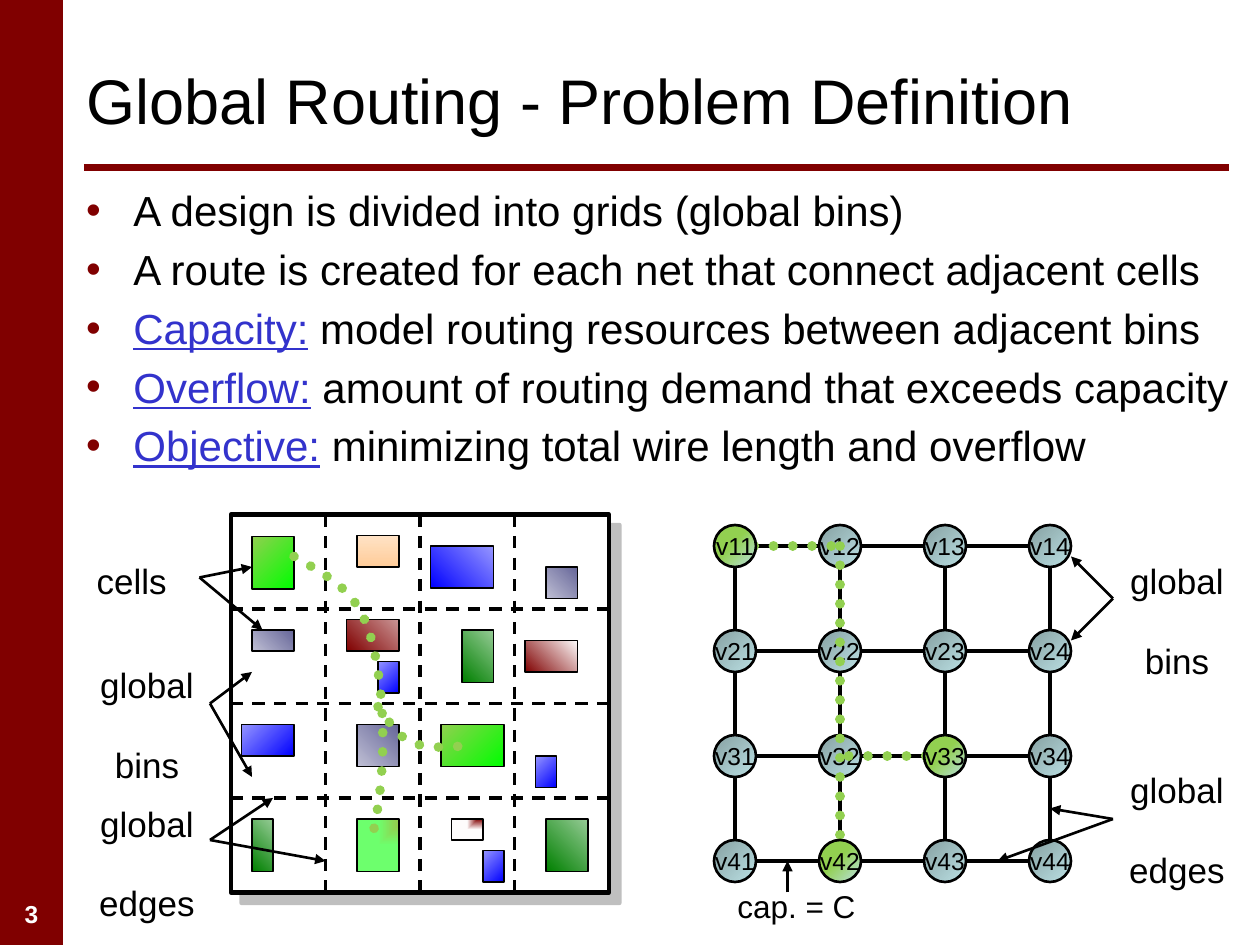
import pptx
import pptx.util
import pptx.dml.color
import pptx.enum.dml
import pptx.enum.shapes
import pptx.enum.text
import pptx.oxml
import pptx.oxml.ns

Pt = pptx.util.Pt
SHAPE = pptx.enum.shapes.MSO_SHAPE
ALIGN = pptx.enum.text.PP_ALIGN
MIDDLE = pptx.enum.text.MSO_ANCHOR.MIDDLE
DASH = pptx.enum.dml.MSO_LINE.DASH
DOT = pptx.enum.dml.MSO_LINE.ROUND_DOT

COLS, ROWS = 120, 90
UNIT = pptx.util.Inches(10) / COLS
MAROON, LIME, BLACK = "800000", "92D050", "000000"

# Fills: first stop, its place, last colour, clockwise angle (None: from the top right corner)
STEEL = ("86A0A2", 0, "BBE0E3", 45)
PICKED = (LIME, 0.45, "BBE0E3", 45)
GREEN = (LIME, 0, "00FF00", 45)
MINT = (LIME, 0.13, "6DFF6D", None)
BLUE = ("9696FF", 0, "0000FF", 45)
SKY = ("0000FF", 0, "9696FF", 315)
ROSE = (MAROON, 0, "CB9696", 315)
RED = (MAROON, 0, "FEFCFC", 315)
SPOT = (MAROON, 0, "FEFCFC", None)
MOSS = ("008000", 0, "96CB96", 315)
GREY = ("C0C0D5", 0, "666699", 315)
PEACH = ("FFE2C5", 0, "FFCC99", 90)

CELLS = [  # column, row, width and height inside the chip
    (2, 2.1, 4, 5, GREEN), (12, 29, 4, 5, MINT), (20, 20, 6, 4, GREEN),
    (19, 3, 6, 4, SKY), (29, 23, 2, 3, BLUE), (1, 20, 5, 3, BLUE),
    (11, 10, 5, 3, ROSE), (21, 29, 3, 2, SPOT), (28, 12, 5, 3, RED),
    (14, 14, 2, 3, BLUE), (24, 32, 2, 3, BLUE), (2, 29, 2, 5, MOSS),
    (22, 11, 3, 5, MOSS), (12, 20, 4, 4, GREY), (2, 11, 4, 2, GREY),
    (30, 5, 3, 3, GREY), (30, 29, 4, 5, MOSS), (12, 2, 4, 3, PEACH)]
WIRES = [  # cubic curves inside the chip
    [(6, 4), (10, 6.3), (12.2, 7.5), (13.4, 12), (14.6, 16.5), (15, 24.2), (13.4, 30.9)],
    [(14, 18.3), (15, 19.6), (15.8, 21.1), (17.2, 21.7), (18.7, 22.3), (20.6, 22.2), (22.5, 22)]]
BINS, EDGES = "global \vbins", "global \vedges"
CHIP_NOTES = [  # text, box, stem, arrow tips
    ("cells", (0, 3.7, 9.1, 5.2), 20, (11, 6), [(16, 5), (17, 11)]),
    (EDGES, (-0.1, 26.8, 12.2, 9.2), 20, (12, 31), [(18, 27), (23, 33)]),
    (BINS, (-0.1, 13.6, 12.2, 9.2), 20, (12, 18), [(16, 15), (16, 25)])]
GRAPH_NOTES = [
    (EDGES, (38, 22.6, 12.2, 9.2), 20, (38, 28), [(32, 27), (27, 32)]),
    (BINS, (38, 2.7, 12.2, 9.2), 20, (38, 7), [(34, 11), (34, 3)]),
    ("cap. = C", (1, 33.9, 13.7, 4.8), 18, (7, 35), [(7, 32)])]
POINTS = [
    ("", "A design is divided into grids (global bins)"),
    ("", "A route is created for each net that connect adjacent cells"),
    ("Capacity:", " model routing resources between adjacent bins"),
    ("Overflow:", " amount of routing demand that exceeds capacity"),
    ("Objective:", " minimizing total wire length and overflow")]


def rgb(code):
    return pptx.dml.color.RGBColor.from_string(code)


def emu(*units):
    return [round(u * UNIT) for u in units]


def node(tag, text=""):
    return pptx.oxml.parse_xml(f'<a:{tag} {pptx.oxml.ns.nsdecls("a")}>{text}</a:{tag}>')


def style(run, size, code=BLACK, bold=False):
    font = run.font
    font.name, font.size, font.bold = "Arial", Pt(size), bold
    font.color.rgb = rgb(code)


def write(frame, text, size, code=BLACK, bold=False):
    """Put centred text that does not wrap into a frame."""
    frame.text = text
    frame.word_wrap = False
    for par in frame.paragraphs:
        par.alignment = ALIGN.CENTER
        for run in par.runs:
            style(run, size, code, bold)


def label(shapes, box, text, size, code=BLACK, bold=False):
    frame = shapes.add_textbox(*emu(*box)).text_frame
    write(frame, text, size, code, bold)
    frame.auto_size = pptx.enum.text.MSO_AUTO_SIZE.SHAPE_TO_FIT_TEXT


def pen(shape, code, width, dash=None):
    shape.line.color.rgb = rgb(code)
    shape.line.width = Pt(width)
    if dash:
        shape.line.dash_style = dash
    if dash == DOT:
        shape._element.xpath(".//a:ln")[0].set("cap", "rnd")


def link(shapes, start, end, width, code=BLACK, dash=None, arrow=False):
    line = shapes.add_connector(pptx.enum.shapes.MSO_CONNECTOR.STRAIGHT, *emu(*start, *end))
    pen(line, code, width, dash)
    if arrow:
        tip = node("tailEnd")
        tip.set("type", "triangle")
        line._element.xpath(".//a:ln")[0].append(tip)
    line._element.spPr.append(node("effectLst"))
    return line


def block(shapes, kind, box, fill, width=0):
    """Add a preset shape; fill is a colour or a gradient."""
    shape = shapes.add_shape(kind, *emu(*box))
    shape.shadow.inherit = False
    if isinstance(fill, str):
        shape.fill.solid()
        shape.fill.fore_color.rgb = rgb(fill)
    else:
        first, place, last, angle = fill
        shape.fill.gradient()
        stops = shape.fill.gradient_stops
        stops[0].color.rgb, stops[0].position = rgb(first), place
        stops[1].color.rgb, stops[1].position = rgb(last), 1
        if angle is None:
            lin = shape._element.xpath(".//a:lin")[0]
            way = node("path", '<a:fillToRect l="100000" b="100000"/>')
            way.set("path", "rect")
            lin.getparent().replace(lin, way)
        else:
            shape.fill.gradient_angle = (360 - angle) % 360
    if width:
        pen(shape, BLACK, width)
    else:
        shape.line.fill.background()
    return shape


def curve(shapes, dots):
    """Draw a dotted chain of cubic curves."""
    pts = [emu(*dot) for dot in dots]
    form = shapes.build_freeform(*pts[0])
    form.add_line_segments(pts[1:], close=False)
    shape = form.convert_to_shape()
    shape.shadow.inherit = False
    shape.fill.background()
    pen(shape, LIME, 5.5, DOT)
    parts = shape._element.xpath(".//a:lnTo")
    for i in range(0, len(parts), 3):
        bend = node("cubicBezTo")
        parts[i].addprevious(bend)
        for part in parts[i:i + 3]:
            bend.append(part[0])
            part.getparent().remove(part)


def frame_page(shapes):
    block(shapes, SHAPE.RECTANGLE, (0, 0, 6, ROWS), MAROON)
    link(shapes, (8, 16), (117, 16), 4, MAROON)
    label(shapes, (0, 85, 6, 4), "3", 14, "FFFFFF", True)


def set_title(title, box):
    title.left, title.top, title.width, title.height = emu(*box)
    frame = title.text_frame
    frame.text = "Global Routing - Problem Definition"
    frame.vertical_anchor = MIDDLE
    frame.paragraphs[0].alignment = ALIGN.LEFT
    style(frame.paragraphs[0].runs[0], 36)


def set_list(body, box):
    body.left, body.top, body.width, body.height = emu(*box)
    frame = body.text_frame
    for i, (term, rest) in enumerate(POINTS):
        par = frame.paragraphs[0] if i == 0 else frame.add_paragraph()
        props = par._p.get_or_add_pPr()
        props.append(node("buClr", f'<a:srgbClr val="{MAROON}"/>'))
        if term:
            run = par.add_run()
            run.text = term
            style(run, 24, "3333CC")
            run.font.underline = True
        run = par.add_run()
        run.text = rest
        style(run, 24)
    frame.paragraphs[0].space_before = Pt(0)


def draw_notes(shapes, left, top, notes):
    for text, (x, y, w, h), size, stem, tips in notes:
        label(shapes, (left + x, top + y, w, h), text, size)
        for x, y in tips:
            link(shapes, (left + stem[0], top + stem[1]), (left + x, top + y), 1.5, arrow=True)


def draw_graph(shapes, left, top, side):
    """Draw the 4 by 4 bin graph with its route."""
    size = 4
    step, half = (side - size) / 3, size / 2

    def ball(row, col, fill):
        box = (left + col * step, top + row * step, size, size)
        shape = block(shapes, SHAPE.OVAL, box, fill, 1.5)
        write(shape.text_frame, f"v{row + 1}{col + 1}", 14)
        shape.text_frame.vertical_anchor = MIDDLE

    def mid(row, col):
        return left + half + col * step, top + half + row * step

    ends = [(0, 0), (2, 2), (3, 1)]
    for row in range(4):
        for col in range(4):
            x, y = mid(row, col)
            if (row, col) not in ends:
                ball(row, col, STEEL)
            if col < 3:
                link(shapes, (x + half, y), (x + step - half, y), 2)
            if row < 3:
                link(shapes, (x, y + step - half), (x, y + half), 2)
    for start, end in [((0, 0), (0, 1)), ((0, 1), (3.1, 1)), ((2, 2), (2, 1))]:
        link(shapes, mid(*start), mid(*end), 5.5, LIME, DOT)
    for row, col in ends:
        ball(row, col, PICKED)


def draw_chip(shapes, left, top, side):
    """Draw the chip with its cells, bin lines and wires."""
    chip = block(shapes, SHAPE.RECTANGLE, (left, top, side, side), "FFFFFF", 2.5)
    shade = node("outerShdw", '<a:srgbClr val="808080"><a:alpha val="50000"/></a:srgbClr>')
    for key, val in (("dist", Pt(8.5)), ("dir", 45 * 60000), ("algn", "ctr"), ("rotWithShape", 0)):
        shade.set(key, str(int(val)) if key != "algn" else val)
    chip._element.xpath(".//a:effectLst")[0].append(shade)
    for x, y, w, h, fill in CELLS:
        block(shapes, SHAPE.RECTANGLE, (left + x, top + y, w, h), fill, 0.75)
    for i in (1, 2, 3):
        x, y = left + i * side / 4, top + i * side / 4
        down = link(shapes, (x, top), (x, top + side), 1.75, dash=DASH)
        across = link(shapes, (left, y), (left + side, y), 1.75, dash=DASH)
        if i == 2:
            for line, start, end in ((down, 0, 2), (across, 1, 3)):
                line.begin_connect(chip, start)
                line.end_connect(chip, end)
    for wire in WIRES:
        curve(shapes, [(left + x, top + y) for x, y in wire])


def main():
    deck = pptx.Presentation()
    deck.slide_width, deck.slide_height = emu(COLS, ROWS)
    slide = deck.slides.add_slide(deck.slide_layouts[1])
    shapes = slide.shapes
    frame_page(shapes)
    set_title(shapes.title, (7, 3, 110, 13))
    set_list(slide.placeholders[1], (7, 17, 113, 70))
    draw_graph(shapes, 68, 50, 34)
    draw_notes(shapes, 68, 50, GRAPH_NOTES)
    draw_chip(shapes, 22, 49, 36)
    draw_notes(shapes, 8, 49, CHIP_NOTES)
    deck.save("out.pptx")


if __name__ == "__main__":
    main()
